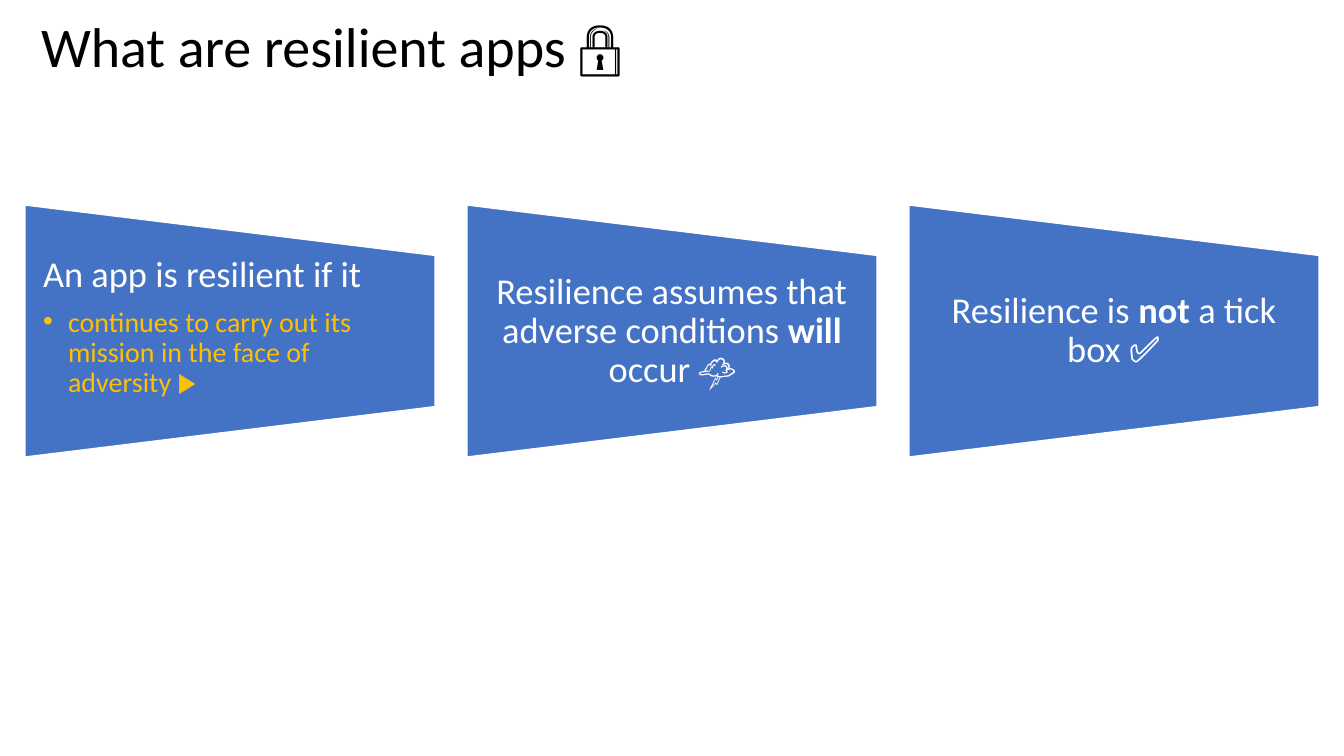
"""Build a slide that explains resilient apps in three panels."""
from pptx import Presentation
from pptx.dml.color import RGBColor
from pptx.enum.shapes import MSO_SHAPE as Shape
from pptx.enum.text import MSO_ANCHOR as Anchor, MSO_AUTO_SIZE as AutoSize, PP_ALIGN as Align
from pptx.oxml.ns import qn
from pptx.util import Pt
from lxml.etree import SubElement

BLACK = RGBColor(0x00, 0x00, 0x00)
WHITE = RGBColor(0xFF, 0xFF, 0xFF)
BLUE = RGBColor(0x44, 0x72, 0xC4)
GOLD = RGBColor(0xFF, 0xC0, 0x00)
EMU_PER_PX = 914400 / 100.8

PANEL_LEFT, PANEL_TOP, PANEL_PITCH = 25, 205, 442
PANEL_WIDTH, PANEL_HEIGHT = 410, 252
TEXT_TOP, TEXT_HEIGHT = 256, 151
TEXT_INSET, BULLET_INDENT = 18, 25


def px(length):
    return round(length * EMU_PER_PX)


def write(para, text, size=26, color=WHITE, bold=False, font="Calibri"):
    span = para.add_run()
    span.text = text
    span.font.name = font
    span.font.size = Pt(size)
    span.font.bold = bold
    span.font.color.rgb = color


class SlideBuilder:
    def __init__(self, deck):
        self.page = deck.slides.add_slide(deck.slide_layouts[1])

    def place(self, box, left, top, width, height):
        box.left, box.top, box.width, box.height = map(px, (left, top, width, height))

    def prepare(self, box, anchor, side=None, edge=None):
        frame = box.text_frame
        frame.word_wrap = True
        frame.auto_size = AutoSize.NONE
        frame.vertical_anchor = anchor
        if side is not None:
            frame.margin_left = frame.margin_right = px(side)
            frame.margin_top = frame.margin_bottom = px(edge)
        return frame

    def format_para(self, para, align=Align.LEFT, after=0, bullet=None):
        indent = px(BULLET_INDENT) if bullet else 0
        props = para._p.get_or_add_pPr()
        props.set("marL", str(indent))
        props.set("indent", str(-indent))
        if bullet:
            SubElement(props, qn("a:buChar"), char=bullet)
        else:
            SubElement(props, qn("a:buNone"))
        para.alignment = align
        para.line_spacing = 0.9
        para.space_before = Pt(0)
        para.space_after = Pt(after)
        return para

    def title(self, text):
        box = self.page.shapes.title
        self.place(box, 31, 14, 881, 55)
        frame = self.prepare(box, Anchor.TOP)
        write(self.format_para(frame.paragraphs[0]), text, size=40, color=BLACK)

    def panel(self, left):
        middle = left + PANEL_WIDTH / 2
        center = PANEL_TOP + PANEL_HEIGHT / 2
        shape = self.page.shapes.add_shape(
            Shape.FLOWCHART_MANUAL_OPERATION,
            px(middle - PANEL_HEIGHT / 2), px(center - PANEL_WIDTH / 2),
            px(PANEL_HEIGHT), px(PANEL_WIDTH))
        shape.rotation = 270
        shape.shadow.inherit = False
        shape.fill.solid()
        shape.fill.fore_color.rgb = BLUE
        shape.line.color.rgb = WHITE
        shape.line.width = Pt(1)

    def bullet_list(self, left, heading, item):
        body = self.page.placeholders[1]
        self.place(body, left, TEXT_TOP, PANEL_WIDTH, TEXT_HEIGHT)
        body.element.getparent().append(body.element)
        frame = self.prepare(body, Anchor.TOP, TEXT_INSET, 0)
        write(self.format_para(frame.paragraphs[0], after=9), heading)
        para = frame.add_paragraph()
        para.level = 1
        write(self.format_para(para, after=3, bullet="•"), item, size=20, color=GOLD)

    def statement(self, left, before, stressed, after):
        box = self.page.shapes.add_textbox(
            px(left), px(TEXT_TOP), px(PANEL_WIDTH), px(TEXT_HEIGHT))
        frame = self.prepare(box, Anchor.MIDDLE, TEXT_INSET, 0)
        para = self.format_para(frame.paragraphs[0], Align.CENTER)
        write(para, before)
        write(para, stressed, bold=True)
        write(para, after)


def main():
    deck = Presentation()
    deck.slide_width, deck.slide_height = px(1344), px(756)
    builder = SlideBuilder(deck)
    builder.title("What are resilient apps 🔒")

    lefts = [PANEL_LEFT + PANEL_PITCH * column for column in range(3)]
    for left in lefts:
        builder.panel(left)
    builder.bullet_list(lefts[0], "An app is resilient if it",
                        "continues to carry out its mission in the face of adversity ▶️")
    builder.statement(lefts[1], "Resilience assumes that adverse conditions ", "will", " occur 🌩️")
    builder.statement(lefts[2], "Resilience is ", "not", " a tick box ✅")
    deck.save("out.pptx")


if __name__ == "__main__":
    main()
